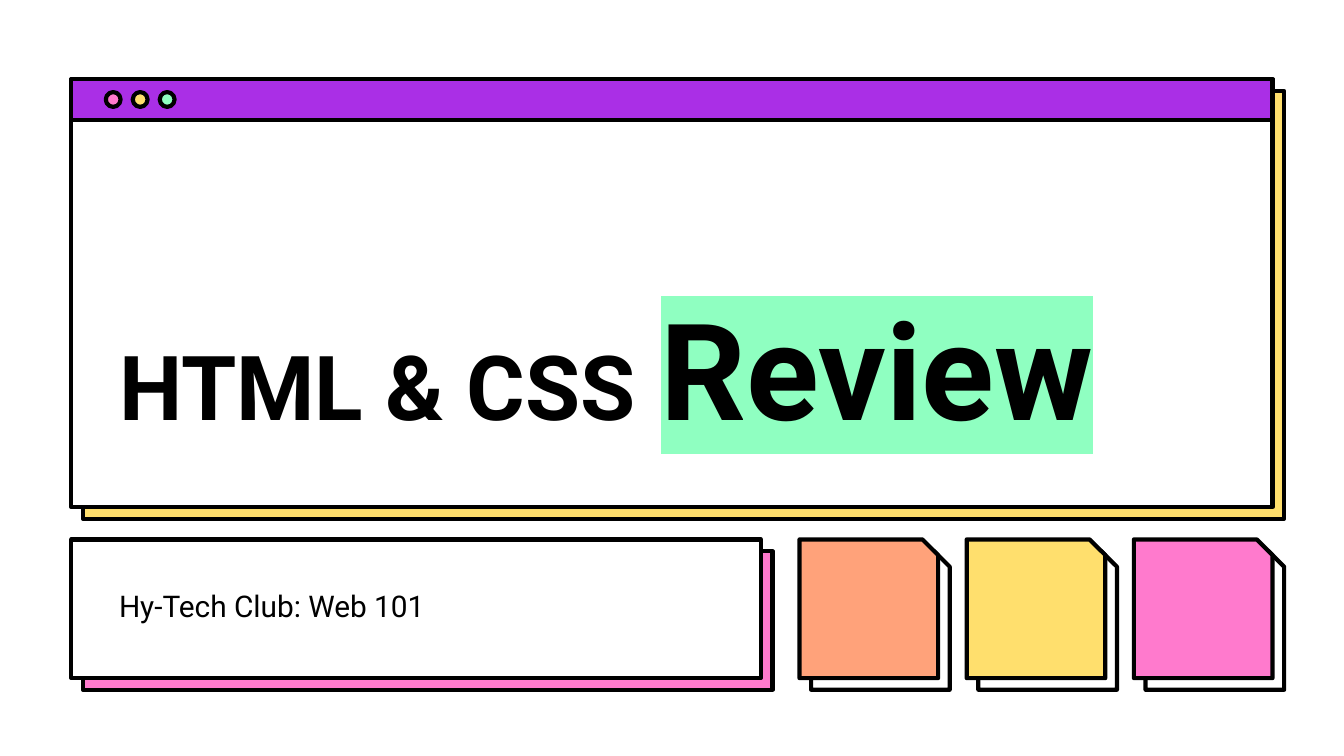
from lxml import etree
from pptx import Presentation
from pptx.dml.color import RGBColor
from pptx.enum.shapes import MSO_SHAPE
from pptx.enum.text import MSO_ANCHOR, MSO_AUTO_SIZE, PP_ALIGN
from pptx.oxml.ns import qn
from pptx.util import Cm, Pt

RECT = MSO_SHAPE.RECTANGLE
OVAL = MSO_SHAPE.OVAL
SNIP = MSO_SHAPE.SNIP_1_RECTANGLE
TOP, BOTTOM = MSO_ANCHOR.TOP, MSO_ANCHOR.BOTTOM
LEFT = PP_ALIGN.LEFT
FIXED = MSO_AUTO_SIZE.NONE

BLACK, WHITE = "000000", "FFFFFF"
PURPLE, PINK, YELLOW = "AA2FE6", "FF7ACD", "FFDF6D"
MINT, ORANGE = "8FFFC1", "FFA27A"


def color(code):
    return RGBColor.from_string(code)


class Deck:
    """Hold the outlined style and the slide being drawn."""

    font = "Roboto"
    line = 2.25
    shift = 0.22
    inset = 0.25

    def __init__(self, slide):
        self.slide = slide

    def shape(self, kind, x, y, w, h, fill):
        box = self.slide.shapes.add_shape(kind, Cm(x), Cm(y), Cm(w), Cm(h))
        box.shadow.inherit = False
        box.fill.solid()
        box.fill.fore_color.rgb = color(fill)
        box.line.color.rgb = color(BLACK)
        box.line.width = Pt(self.line)
        if kind == SNIP:
            box.adjustments[0] = 0.113
        return box

    def card(self, kind, x, y, w, h, front, back):
        self.shape(kind, x + self.shift, y + self.shift, w, h, back)
        self.shape(kind, x, y, w, h, front)

    def text(self, holder, x, y, w, h, parts, anchor, bold=False):
        holder.left, holder.top = Cm(x), Cm(y)
        holder.width, holder.height = Cm(w), Cm(h)
        holder.element.getparent().append(holder.element)
        frame = holder.text_frame
        frame.word_wrap = True
        frame.auto_size = FIXED
        frame.vertical_anchor = anchor
        frame.margin_left = frame.margin_right = Cm(self.inset)
        frame.margin_top = frame.margin_bottom = Cm(self.inset)
        para = frame.paragraphs[0]
        para.alignment = LEFT
        para.line_spacing = 1.0
        para.space_before = Pt(0)
        for words, size, mark in parts:
            run = para.add_run()
            run.text = words
            run.font.name = self.font
            run.font.size = Pt(size)
            run.font.bold = bold
            run.font.color.rgb = color(BLACK)
            if mark:
                self.mark(run, mark)

    def mark(self, run, code):
        glow = etree.Element(qn("a:highlight"))
        etree.SubElement(glow, qn("a:srgbClr")).set("val", code)
        run.font.fill._xPr.find(qn("a:solidFill")).addnext(glow)


def main():
    show = Presentation()
    show.slide_width, show.slide_height = Cm(25.4), Cm(14.28)
    slide = show.slides.add_slide(show.slide_layouts[0])
    deck = Deck(slide)

    left, top, wide, low, tile = 1.35, 1.5, 22.7, 10.19, 2.62
    deck.card(RECT, left, top, wide, 8.08, WHITE, YELLOW)
    deck.card(RECT, left, low, 13.03, tile, WHITE, PINK)
    deck.shape(RECT, left, top, wide, 0.77, PURPLE)
    for i, fill in enumerate((PINK, YELLOW, MINT)):
        deck.shape(OVAL, 2 + 0.51 * i, 1.74, 0.28, 0.28, fill)
    for i, fill in enumerate((ORANGE, YELLOW, PINK)):
        deck.card(SNIP, 15.11 + 3.16 * i, low, tile, tile, fill, WHITE)

    title, club = slide.placeholders
    heading = [("HTML & CSS", 48, None), (" ", 54, None), ("Review", 72, MINT)]
    deck.text(title, 2, 3.15, 21.41, 5.56, heading, BOTTOM, bold=True)
    name = [("Hy-Tech Club: Web 101", 16, None)]
    deck.text(club, 2, 10.85, 11.53, 1.25, name, TOP)
    show.save("out.pptx")


if __name__ == "__main__":
    main()
